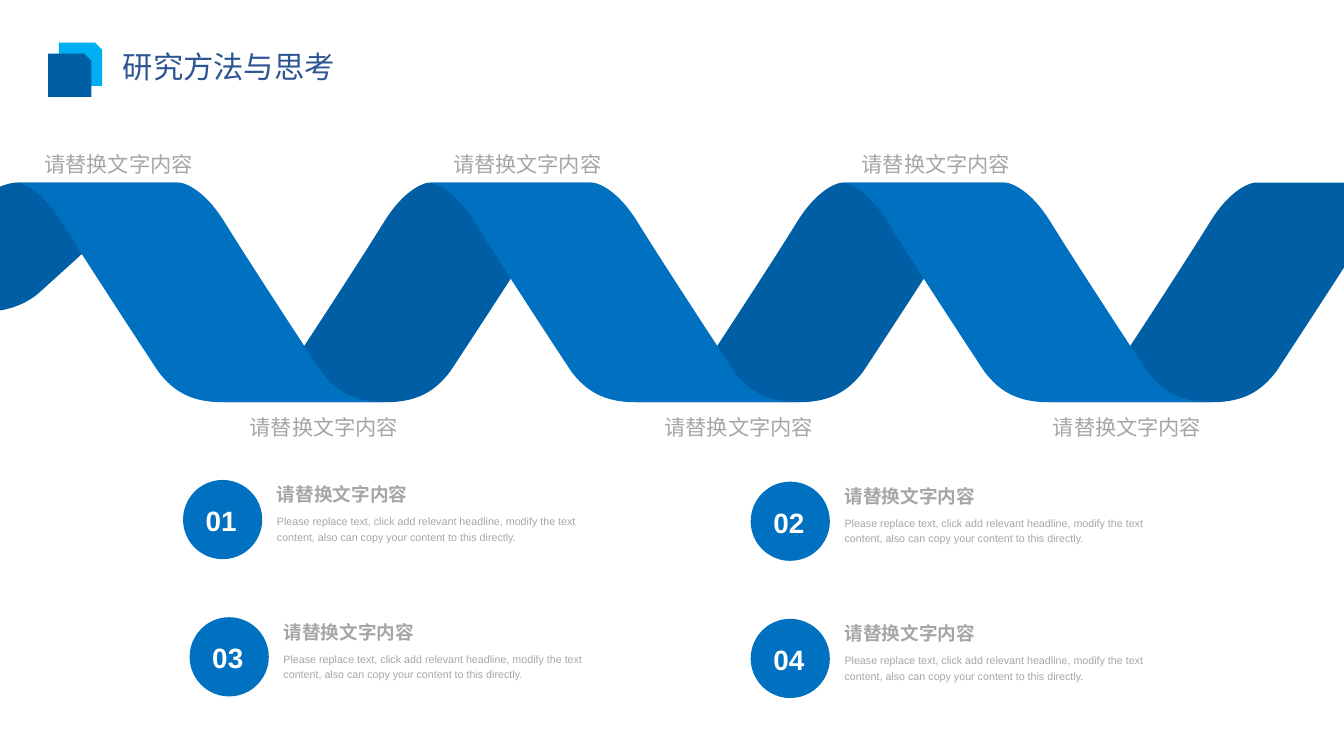
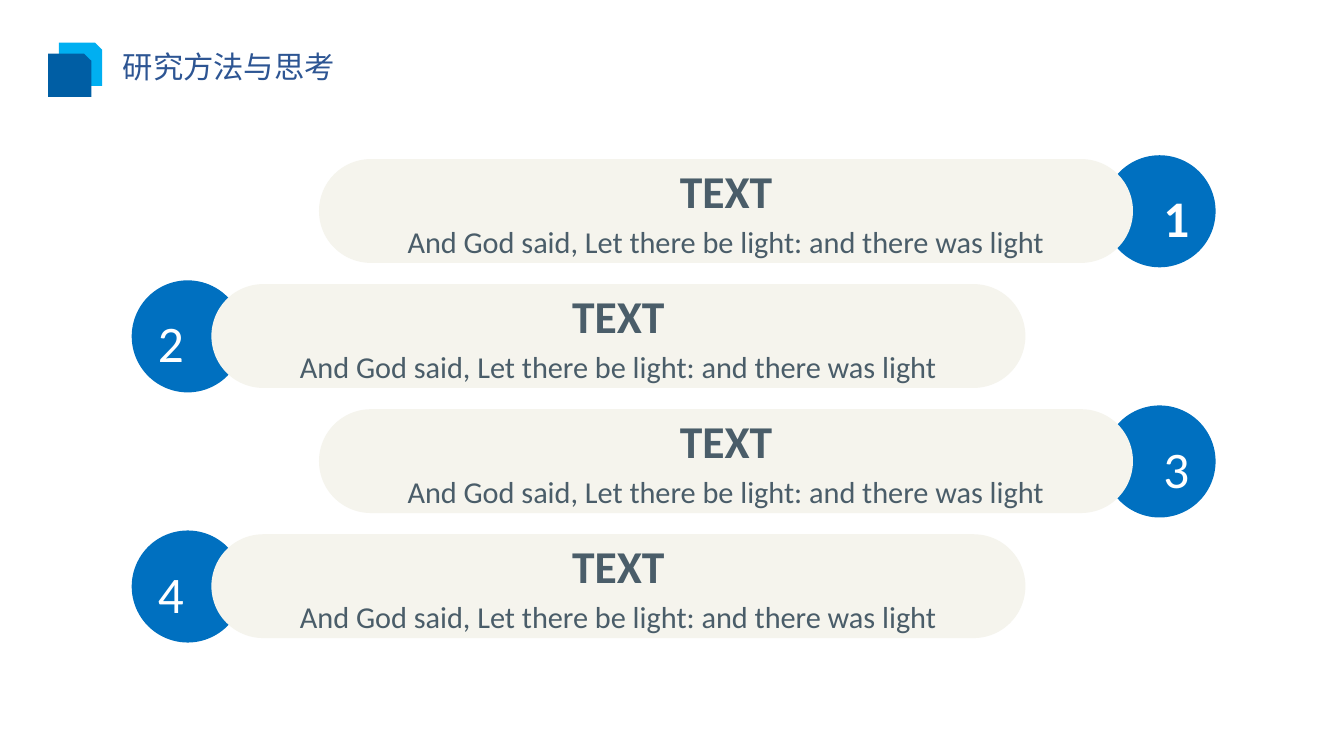
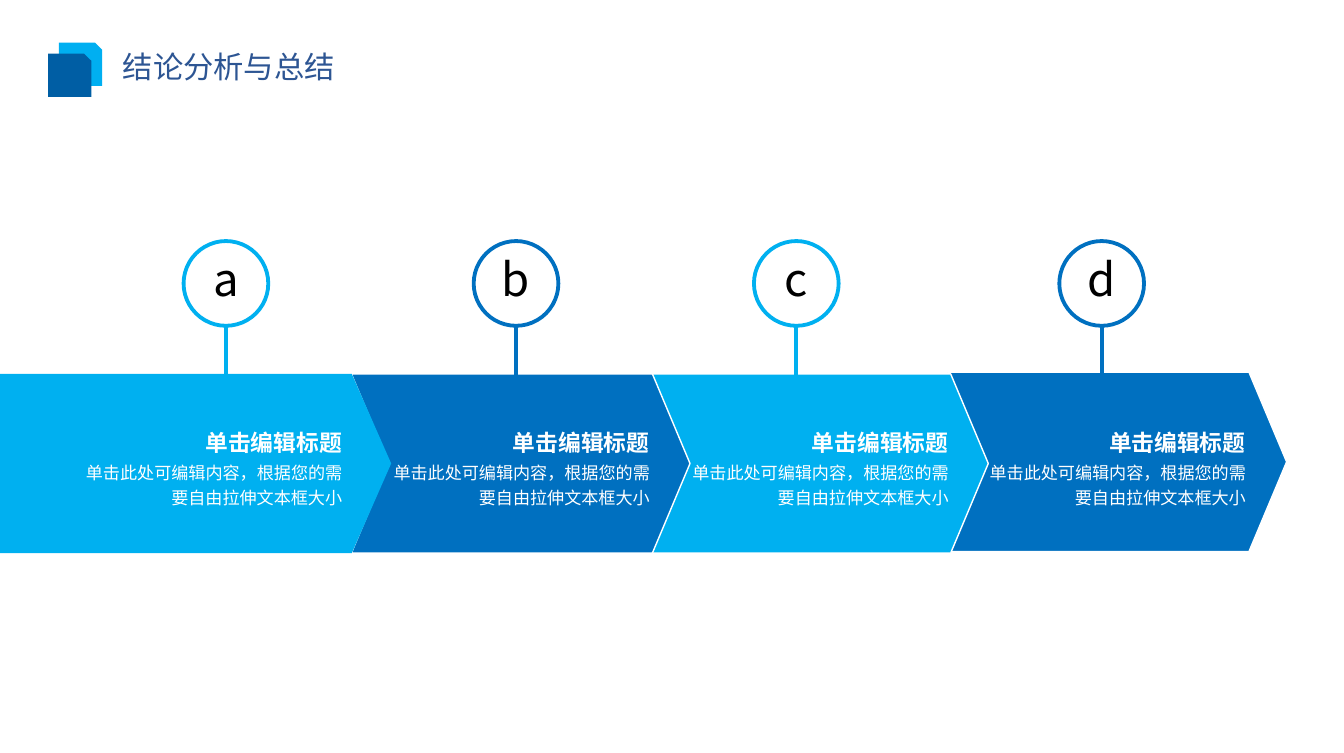
from lxml import etree
from pptx import Presentation
from pptx.dml.color import RGBColor
from pptx.enum.shapes import MSO_CONNECTOR as Link, MSO_SHAPE as Kind
from pptx.enum.text import MSO_ANCHOR as Anchor, MSO_AUTO_SIZE as Fit, PP_ALIGN as Align
from pptx.oxml.ns import qn
from pptx.util import Inches, Pt

# The slide is a grid of square cells, 123 columns wide; all lengths are in cells.
WIDTH, HEIGHT, COLS = 9.84, 5.51, 123
CELL = WIDTH / COLS

BLUE, DEEP, SKY, CYAN = "0070C0", "005EA4", "00B0F0", "00AFF1"
NAVY, GREY, SLATE, CREAM = "2D5593", "A6A6A6", "4A5D69", "F5F4ED"
WHITE, BLACK = "FFFFFF", "000000"
CJK = "Noto Sans CJK SC"
PAD = (0.9, 0.5, 0.9, 0.5)

# Left edge of a full ribbon fold, as a chain of three cubic Bezier curves.
DEPTH = 20.1
EDGE = [(0, 0),
        (0, 0), (2, 0.1), (4.2, 3.7),
        (6.3, 7.1), (12, 15.8), (13, 17.3),
        (14.3, 19), (15.9, DEPTH), (18.9, DEPTH)]


def cells(*sizes):
    return [Inches(size * CELL) for size in sizes]


def color(code):
    return RGBColor.from_string(code)


def style(size, ink, name="Arial", bold=False, **para):
    """Format values of one paragraph: font, text colour and paragraph."""
    return {"font": {"size": Pt(size), "name": name, "bold": bold}, "ink": ink, "para": para}


def apply(target, values):
    for name, value in values.items():
        setattr(target, name, value)


def write(shape, lines, inset=(0, 0, 0, 0), anchor=Anchor.TOP, wrap=True):
    """Fill a shape with (text, style) paragraphs."""
    frame = shape.text_frame
    sides = ("margin_left", "margin_top", "margin_right", "margin_bottom")
    apply(frame, dict(zip(sides, cells(*inset))))
    apply(frame, {"vertical_anchor": anchor, "word_wrap": wrap, "auto_size": Fit.NONE})
    for index, (text, look) in enumerate(lines):
        para = frame.add_paragraph() if index else frame.paragraphs[0]
        apply(para, look["para"])
        run = para.add_run()
        run.text = text
        apply(run.font, look["font"])
        run.font.color.rgb = color(look["ink"])
        asian = etree.SubElement(run.font._element, qn("a:ea"))
        asian.set("typeface", CJK)


def label(slide, box, text, look, **frame):
    write(slide.shapes.add_textbox(*cells(*box)), [(text, look)], **frame)


def paint(shape, fill=None, line=None, width=0.75):
    shape.shadow.inherit = False
    if fill:
        shape.fill.solid()
        shape.fill.fore_color.rgb = color(fill)
    else:
        shape.fill.background()
    if line:
        shape.line.color.rgb = color(line)
        shape.line.width = Pt(width)
    else:
        shape.line.fill.background()


def draw(slide, kind, box, fill=None, adjust=None, **line):
    shape = slide.shapes.add_shape(kind, *cells(*box))
    if adjust is not None:
        shape.adjustments[0] = adjust
    paint(shape, fill, **line)
    return shape


def stem(slide, x, top, end, ink):
    line = slide.shapes.add_connector(Link.STRAIGHT, *cells(x, end, x, top))
    line.line.color.rgb = color(ink)
    line.line.width = Pt(2)
    etree.SubElement(line._element.spPr, qn("a:effectLst"))


def bend(lines):
    """Turn each three line segments into one cubic Bezier curve."""
    for first in range(0, len(lines), 3):
        trio = lines[first:first + 3]
        arc = etree.Element(qn("a:cubicBezTo"))
        trio[0].addprevious(arc)
        for line in trio:
            arc.append(line[0])
            line.getparent().remove(line)


def fold(slide, x, turn, fill, depth=DEPTH):
    """One ribbon fold from its top left corner, going right (1) or left (-1)."""
    top, wide = 16.7, 14.9
    side = [(x + turn * dx, top + dy * depth / DEPTH) for dx, dy in EDGE]
    outline = side + [(px + wide, py) for px, py in reversed(side)]
    points = [tuple(cells(*point)) for point in outline]
    pen = slide.shapes.build_freeform(*points[0])
    pen.add_line_segments(points[1:], close=True)
    shape = pen.convert_to_shape()
    lines = list(shape._element.iter(qn("a:lnTo")))
    count = len(EDGE)
    bend(lines[:count - 1])
    bend(lines[count:2 * count - 1])
    paint(shape, fill)


def page(deck, title):
    """Add a slide with the shared badge and title."""
    slide = deck.slides.add_slide(deck.slide_layouts[5])
    for x, y, fill in ((5.4, 3.9, CYAN), (4.4, 4.9, DEEP)):
        draw(slide, Kind.SNIP_1_RECTANGLE, (x, y, 3.95, 3.95), fill)
    head = slide.shapes.title
    apply(head, dict(zip(("left", "top", "width", "height"), cells(10.35, 3.9, 23.6, 4.25))))
    write(head, [(title, style(16, NAVY, CJK, alignment=Align.LEFT))], PAD)
    return slide


def item(slide, x, y, mark):
    draw(slide, Kind.ROUNDED_RECTANGLE, (x, y, 7.25, 7.25), BLUE, 0.5)
    label(slide, (x + 0.55, y + 0.95, 5.9, 4.9), mark,
          style(14.7, WHITE, bold=True, alignment=Align.CENTER, line_spacing=1.2),
          inset=(0, 1, 0, 1), anchor=Anchor.MIDDLE)
    label(slide, (x + 8.6, y - 0.1, 27.6, 2.5), "请替换文字内容",
          style(9.8, GREY, bold=True, line_spacing=1.2))
    label(slide, (x + 8.6, y + 3, 27.6, 2.9),
          "Please replace text, click add relevant headline, modify the text content, "
          "also can copy your content to this directly.",
          style(5.6, GREY, line_spacing=1.2))


def ribbon(deck):
    slide = page(deck, "研究方法与思考")
    start, pitch = 1.5, 37.8
    fold(slide, start, -1, DEEP, 11.9)
    for turn in (1, 2, 3):
        fold(slide, start + turn * pitch, -1, DEEP)
    for turn in (0, 1, 2):
        fold(slide, start + turn * pitch, 1, BLUE)

    look = style(11.2, GREY, alignment=Align.CENTER, line_spacing=1.2)
    for y, places in ((13.4, (4.05, 41.45, 78.85)), (37.4, (22.85, 60.8, 96.35))):
        for x in places:
            label(slide, (x, y, 13.6, 2.9), "请替换文字内容", look, wrap=False)

    spots = ((16.75, 43.9), (68.7, 44.05), (17.35, 56.45), (68.7, 56.6))
    for count, (x, y) in enumerate(spots, 1):
        item(slide, x, y, f"{count:02}")


def bar(slide, y, mark, right, bold):
    ball, strip = (101, 29.2) if right else (12.05, 19.35)
    disc = draw(slide, Kind.OVAL, (ball, y, 10.25, 10.25), BLUE)
    side = Align.RIGHT if right else Align.LEFT
    write(disc, [(mark, style(27, WHITE, "Calibri", bold, alignment=side,
                              line_spacing=1.2, space_after=Pt(1.5)))],
          PAD, Anchor.MIDDLE)
    pill = draw(slide, Kind.ROUNDED_RECTANGLE, (strip, y + 0.35, 74.5, 9.5), CREAM, 0.5)
    gap = {"alignment": Align.CENTER, "space_after": Pt(1.5)}
    write(pill, [("TEXT", style(24, SLATE, "Calibri", True, **gap)),
                 ("And God said, Let there be light: and there was light",
                  style(16, SLATE, "Calibri", space_before=Pt(1.5), **gap))],
          PAD, Anchor.MIDDLE)


def bars(deck):
    slide = page(deck, "研究方法与思考")
    for index in range(4):
        bar(slide, 14.2 + 11.44 * index, str(index + 1), index % 2 == 0, index == 0)


def step(slide, mark, x, edge, ink):
    """A lettered pin at column x and right-aligned text ending at column edge."""
    top, size = 22.05, 7.75
    ring = draw(slide, Kind.OVAL, (x, top, size, size), line=ink, width=2)
    write(ring, [(mark, style(24, BLACK, CJK, alignment=Align.CENTER))],
          (0.9, 0, 0.9, 0.9), Anchor.MIDDLE)
    stem(slide, x + size / 2, top + size, 34.35, ink)
    flow = {"alignment": Align.RIGHT, "line_spacing": 1.2}
    label(slide, (edge - 13.1, 38.75, 13.1, 3), "单击编辑标题",
          style(12, WHITE, bold=True, **flow))
    label(slide, (edge - 23.5, 41.95, 23.5, 4.5),
          "单击此处可编辑内容，根据您的需要自由拉伸文本框大小", style(9, WHITE, **flow))


def arrows(deck):
    slide = page(deck, "结论分析与总结")
    tones = (SKY, BLUE, SKY, BLUE)
    for index in (3, 2, 1):
        y = 34.05 if index == 3 else 34.2
        draw(slide, Kind.CHEVRON, (4.85 + 27.3 * index, y, 31, 16.4),
             tones[index], 0.21, line=WHITE)
    draw(slide, Kind.PENTAGON, (0, 34.2, 35.8, 16.4), SKY, 0.22)
    pins, edges = (16.8, 43.35, 69, 96.95), (31.3, 59.45, 86.8, 114)
    for mark, x, edge, ink in zip("abcd", pins, edges, tones):
        step(slide, mark, x, edge, ink)


def main():
    deck = Presentation()
    deck.slide_width, deck.slide_height = Inches(WIDTH), Inches(HEIGHT)
    for build in (ribbon, bars, arrows):
        build(deck)
    deck.save("out.pptx")


if __name__ == "__main__":
    main()
